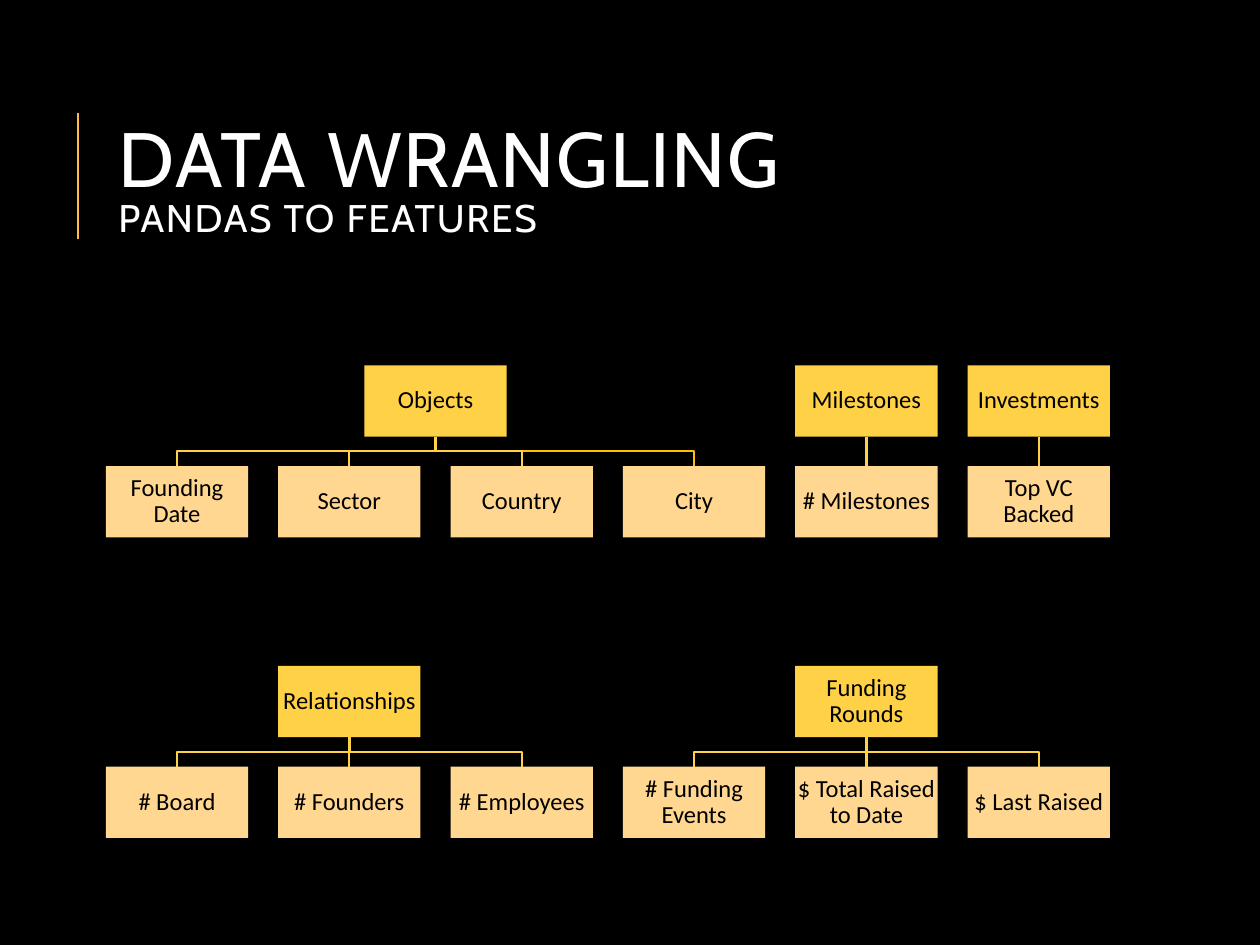
import lxml.etree
import pptx
import pptx.dml.color
import pptx.enum.shapes
import pptx.enum.text
import pptx.oxml.ns
import pptx.util

BLACK = pptx.dml.color.RGBColor(0x00, 0x00, 0x00)
WHITE = pptx.dml.color.RGBColor(0xFF, 0xFF, 0xFF)
ACCENT = pptx.dml.color.RGBColor(0xFF, 0xBD, 0x47)
GOLD = pptx.dml.color.RGBColor(0xFF, 0xD1, 0x47)
AMBER = pptx.dml.color.RGBColor(0xFF, 0xC0, 0x00)
PEACH = pptx.dml.color.RGBColor(0xFF, 0xD7, 0x91)

LEFT, CONTENT_WIDTH, COLUMNS = 0.84, 7.97, 6
BOX_WIDTH, BOX_HEIGHT = 1.13, 0.565
COLUMN_STEP = (CONTENT_WIDTH - BOX_WIDTH) / (COLUMNS - 1)
ROW_STEP = 0.8
UPPER_TOP, LOWER_TOP = 2.9, 5.285

TREES = [
    (UPPER_TOP, 0, "Objects", ["Founding Date", "Sector", "Country", "City"]),
    (UPPER_TOP, 4, "Milestones", ["# Milestones"]),
    (UPPER_TOP, 5, "Investments", ["Top VC Backed"]),
    (LOWER_TOP, 0, "Relationships", ["# Board", "# Founders", "# Employees"]),
    (LOWER_TOP, 3, "Funding Rounds",
     ["# Funding Events", "$ Total Raised to Date", "$ Last Raised"]),
]


class HierarchySlide:
    heading_font = "Cabin"
    body_font = "Calibri"
    body_size = 14
    branch_width = 1.25

    def __init__(self, presentation):
        self.slide = presentation.slides.add_slide(presentation.slide_layouts[5])
        self.slide.background.fill.solid()
        self.slide.background.fill.fore_color.rgb = BLACK

    def title(self, lines, sizes, left, top, width, height):
        shape = self.slide.shapes.title
        shape.left, shape.top, shape.width, shape.height = map(
            pptx.util.Inches, (left, top, width, height))
        frame = shape.text_frame
        frame.text = "\v".join(lines)
        frame.word_wrap = True
        frame.auto_size = pptx.enum.text.MSO_AUTO_SIZE.NONE
        frame.vertical_anchor = pptx.enum.text.MSO_ANCHOR.MIDDLE
        paragraph = frame.paragraphs[0]
        paragraph.alignment = pptx.enum.text.PP_ALIGN.LEFT
        paragraph.line_spacing = 0.8
        for run, size in zip(paragraph.runs, sizes):
            self.format_font(run.font, self.heading_font, size, WHITE)
            run.font._element.set("spc", "100")

    def format_font(self, font, name, size, color):
        font.name = name
        font.size = pptx.util.Pt(size)
        font.color.rgb = color

    def box(self, text, column, top, fill):
        shape = self.slide.shapes.add_shape(
            pptx.enum.shapes.MSO_SHAPE.RECTANGLE,
            *map(pptx.util.Inches,
                 (LEFT + column * COLUMN_STEP, top, BOX_WIDTH, BOX_HEIGHT)))
        shape.shadow.inherit = False
        shape.fill.solid()
        shape.fill.fore_color.rgb = fill
        shape.line.fill.background()
        frame = shape.text_frame
        frame.text = text
        frame.word_wrap = True
        frame.vertical_anchor = pptx.enum.text.MSO_ANCHOR.MIDDLE
        frame.margin_left = frame.margin_right = pptx.util.Inches(0.01)
        frame.margin_top = frame.margin_bottom = pptx.util.Inches(0.01)
        paragraph = frame.paragraphs[0]
        paragraph.alignment = pptx.enum.text.PP_ALIGN.CENTER
        paragraph.line_spacing = 0.9
        self.format_font(paragraph.runs[0].font, self.body_font, self.body_size, BLACK)
        return shape

    def line(self, start, end, color, width):
        connector = self.slide.shapes.add_connector(
            pptx.enum.shapes.MSO_CONNECTOR.STRAIGHT, *start, *end)
        connector.line.color.rgb = color
        connector.line.width = pptx.util.Pt(width)
        lxml.etree.SubElement(
            connector._element.spPr, pptx.oxml.ns.qn("a:effectLst"))
        return connector

    def branch(self, parent, child, color):
        start = (parent.left + parent.width // 2, parent.top + parent.height)
        end = (child.left + child.width // 2, child.top)
        if parent.left == child.left:
            connector = self.line(start, end, color, self.branch_width)
            connector.begin_connect(parent, 2)
            connector.end_connect(child, 0)
            return
        middle = (start[1] + end[1]) // 2
        builder = self.slide.shapes.build_freeform(*start)
        builder.add_line_segments(
            [(start[0], middle), (end[0], middle), end], close=False)
        shape = builder.convert_to_shape()
        shape.shadow.inherit = False
        shape.fill.background()
        shape.line.color.rgb = color
        shape.line.width = pptx.util.Pt(self.branch_width)

    def tree(self, top, first_column, parent_text, child_texts):
        parent_column = first_column + (len(child_texts) - 1) / 2
        parent = self.box(parent_text, parent_column, top, GOLD)
        children = [
            self.box(text, first_column + index, top + ROW_STEP, PEACH)
            for index, text in enumerate(child_texts)
        ]
        for child in reversed(children):
            color = AMBER if child.text_frame.text == "City" else GOLD
            self.branch(parent, child, color)


def main():
    presentation = pptx.Presentation()
    presentation.slide_width = pptx.util.Inches(10)
    presentation.slide_height = pptx.util.Inches(7.5)
    hierarchy = HierarchySlide(presentation)
    rule_left = pptx.util.Inches(0.62)
    hierarchy.line((rule_left, pptx.util.Inches(1.9)),
                   (rule_left, pptx.util.Inches(0.9)), ACCENT, 1.5)
    hierarchy.title(["DATA WRANGLING", "PANDAS TO FEATURES"], [44, 22],
                    LEFT, 0.64, CONTENT_WIDTH, 1.64)
    for tree in TREES:
        hierarchy.tree(*tree)
    presentation.save("out.pptx")


if __name__ == "__main__":
    main()
